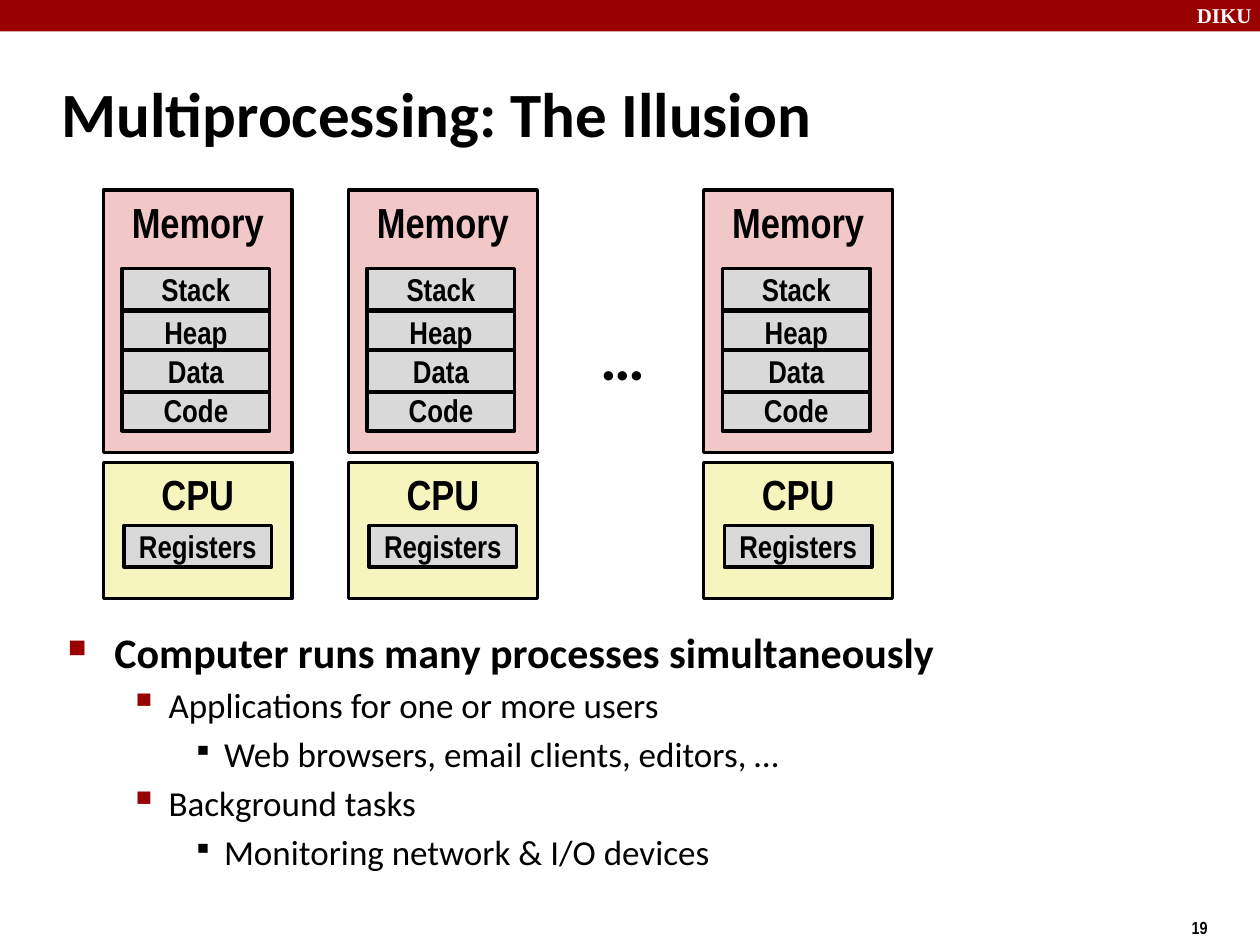
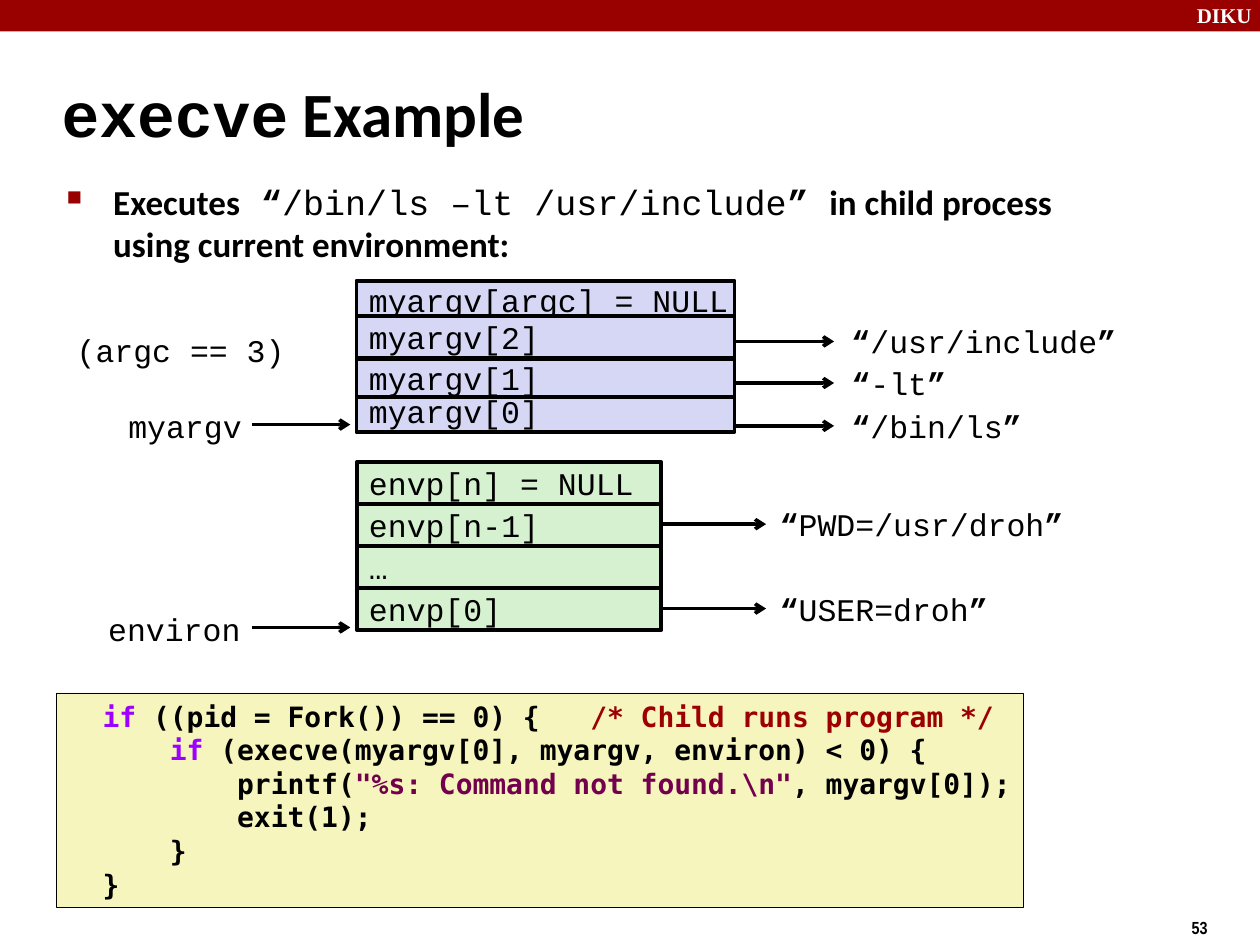
from dataclasses import dataclass

from lxml.etree import SubElement
from pptx import Presentation
from pptx.dml.color import RGBColor as Rgb
from pptx.enum.shapes import MSO_CONNECTOR as Connector, MSO_SHAPE as Shape
from pptx.enum.text import MSO_ANCHOR as Anchor, MSO_AUTO_SIZE as AutoSize, PP_ALIGN as Align
from pptx.oxml.ns import qn
from pptx.util import Inches, Pt

COLUMNS, ROWS = 100, 75
WIDTH, HEIGHT = Inches(10), Inches(7.5)


@dataclass(frozen=True)
class TextStyle:
    size: float
    font: str
    bold: bool = False
    color: str = "000000"


@dataclass(frozen=True)
class Bullet:
    sign: str
    color: str
    percent: int
    left: float
    hanging: float
    before: float
    level: int = 0


class Theme:
    black, white, red = "000000", "FFFFFF", "990000"
    pink, yellow, grey = "F1C7C7", "F6F5BD", "D9D9D9"
    green, lilac = "D5F1CF", "D6D6F5"
    sans, narrow, mono, code_font = "Calibri", "Arial Narrow", "Courier New", "DejaVu Sans Mono"

    text = {
        "brand": TextStyle(12, "Times New Roman", True, white),
        "number": TextStyle(10, narrow, True),
        "title": TextStyle(36, sans, True),
        "title mono": TextStyle(36, mono, True),
        "lead": TextStyle(24, sans, True),
        "lead small": TextStyle(20, sans, True),
        "body": TextStyle(20, sans),
        "body mono": TextStyle(20, mono),
        "body quote": TextStyle(20, mono, True),
        "unit": TextStyle(24, narrow, True),
        "part": TextStyle(18, narrow, True),
        "mono": TextStyle(18, mono),
        "quote": TextStyle(18, mono, True),
        "code": TextStyle(16, code_font, True),
        "keyword": TextStyle(16, code_font, True, "9D00FF"),
        "comment": TextStyle(16, code_font, True, "9D0003"),
        "string": TextStyle(16, code_font, True, "72004C"),
    }
    bullets = {
        "main": Bullet("■", red, 60, 0.38, 0.37, 0),
        "sub": Bullet("▪", red, 110, 0.81, 0.31, 4, 1),
        "detail": Bullet("▪", black, 80, 1.25, 0.25, 4, 2),
    }


class SlideBuilder:
    """Draws on the current slide; places are in columns and rows of the grid."""

    def __init__(self, theme):
        self.theme = theme
        self.deck = Presentation()
        self.deck.slide_width, self.deck.slide_height = WIDTH, HEIGHT
        self.page = None

    def start(self, number, title):
        self.page = self.deck.slides.add_slide(self.deck.slide_layouts[6])
        self.rect((0, 0, COLUMNS, 2.5), self.theme.red, line=None)
        self.label((94, -0.3, 6.7, 3), [("DIKU", "brand")], word_wrap=True)
        self.label((93.6, 72.3, 7.5, 2.7), [(str(number), "number")])
        self.text((3.9, 4.8, 83, 8.3), [title], vertical_anchor=Anchor.MIDDLE)

    @staticmethod
    def place(left, top, width, height):
        across, down = WIDTH / COLUMNS, HEIGHT / ROWS
        return [round(value) for value in
                (left * across, top * down, width * across, height * down)]

    def fill_text(self, shape, paragraphs, align=Align.LEFT, bullets=(), **frame_format):
        """Write paragraphs, each a list of (text, style name) pairs."""
        frame = shape.text_frame
        for name, value in {"word_wrap": True, **frame_format}.items():
            setattr(frame, name, value)
        for index, runs in enumerate(paragraphs):
            para = frame.add_paragraph() if index else frame.paragraphs[0]
            if bullets:
                self.bullet(para, self.theme.bullets[bullets[index]])
            para.alignment = align
            for content, style_name in runs:
                style = self.theme.text[style_name]
                span = para.add_run()
                span.text = content
                font_format = {"size": Pt(style.size), "name": style.font, "bold": style.bold}
                for name, value in font_format.items():
                    setattr(span.font, name, value)
                span.font.color.rgb = Rgb.from_string(style.color)

    @staticmethod
    def bullet(para, bullet):
        props = para._p.get_or_add_pPr()
        props.set("marL", str(Inches(bullet.left)))
        props.set("indent", str(-Inches(bullet.hanging)))
        color = SubElement(props, qn("a:buClr"))
        SubElement(color, qn("a:srgbClr"), val=bullet.color)
        SubElement(props, qn("a:buSzPct"), val=str(bullet.percent * 1000))
        SubElement(props, qn("a:buChar"), char=bullet.sign)
        para.level = bullet.level
        para.space_before = Pt(bullet.before)

    def text(self, at, paragraphs, **text_format):
        box = self.page.shapes.add_textbox(*self.place(*at))
        self.fill_text(box, paragraphs, **text_format)

    def label(self, at, runs, word_wrap=False):
        self.text(at, [runs], word_wrap=word_wrap, auto_size=AutoSize.SHAPE_TO_FIT_TEXT)

    def rect(self, at, fill, paragraphs=(), line=2, **text_format):
        box = self.page.shapes.add_shape(Shape.RECTANGLE, *self.place(*at))
        box.shadow.inherit = False
        box.fill.solid()
        box.fill.fore_color.rgb = Rgb.from_string(fill)
        if line is None:
            box.line.fill.background()
        else:
            box.line.color.rgb = Rgb.from_string(self.theme.black)
            box.line.width = Pt(line)
        if paragraphs:
            self.fill_text(box, paragraphs, **text_format)

    def arrow(self, start, end, row):
        left, top, right, _ = self.place(start, row, end, 0)
        link = self.page.shapes.add_connector(Connector.STRAIGHT, left, top, right, top)
        link.line.color.rgb = Rgb.from_string(self.theme.black)
        link.line.width = Pt(2)
        props = link.element.spPr
        SubElement(props.find(qn("a:ln")), qn("a:tailEnd"), type="arrow")
        SubElement(props, qn("a:effectLst"))

    def machine(self, left):
        """Draw one process: its CPU below its memory."""
        theme = self.theme

        def unit(name, top, height, fill):
            self.rect((left, top, 15, height), fill, [[(name, "unit")]],
                      align=Align.CENTER, vertical_anchor=Anchor.TOP)

        def part(name, inset, top):
            self.rect((left + inset, top, 11.7, 3.3), theme.grey, [[(name, "part")]],
                      align=Align.CENTER, vertical_anchor=Anchor.MIDDLE)

        unit("CPU", 36.7, 10.8, theme.yellow)
        part("Registers", 1.65, 41.7)
        unit("Memory", 15.1, 20.8, theme.pink)
        for name, top in {"Stack": 21.3, "Heap": 24.7, "Code": 30.9, "Data": 27.8}.items():
            part(name, 1.5, top)

    def slot(self, name, top, width, height, fill):
        self.rect((28.3, top, width, height), fill, [[(name, "mono")]], line=2.25,
                  vertical_anchor=Anchor.MIDDLE, word_wrap=False)

    def quoted(self, content, left, top, width):
        self.label((left, top, width, 4),
                   [("“", "quote"), (content, "mono"), ("”", "quote")])


def add_illusion(slides):
    slides.start(19, [("Multiprocessing: The Illusion", "title")])
    slides.text((4.3, 49.2, 86.4, 21.6), [
        [("Computer runs many processes simultaneously", "lead")],
        [("Applications for one or more users", "body")],
        [("Web browsers, email clients, editors, …", "body")],
        [("Background tasks", "body")],
        [("Monitoring network & I/O devices", "body")],
    ], bullets=["main", "sub", "detail", "sub", "detail"])
    for left in (8.2, 27.65, 55.85):
        slides.machine(left)
    slides.label((46.7, 24.7, 5.5, 7), [("…", "title")])


def add_execve(slides):
    theme = slides.theme
    slides.start(53, [("execve", "title mono"), (" Example", "title")])

    for index, name in enumerate(["envp[n] = NULL", "envp[n-1]", "…", "envp[0]"]):
        slides.slot(name, 36.7 + index * 10 / 3, 24.2, 3.3, theme.green)
    for name, top, height in [("myargv[argc] = NULL", 22.3, 3), ("myargv[2]", 25.1, 3.3),
                              ("myargv[0]", 31, 3.3), ("myargv[1]", 28.5, 3)]:
        slides.slot(name, top, 30, height, theme.lilac)

    for content, top, width, arrow_row in [("/usr/include", 25.1, 23, 27.1),
                                           ("-lt", 28.4, 9.5, 30.4),
                                           ("/bin/ls", 31.8, 15.5, 33.8)]:
        slides.quoted(content, 66.6, top, width)
        slides.arrow(58.3, 66.2, arrow_row)
    for content, top, width in [("PWD=/usr/droh", 39.6, 24.5), ("USER=droh", 46.3, 18.5)]:
        slides.quoted(content, 60.9, top, width)
        slides.arrow(52.5, 60.8, top + 2)
    for name, left, top, width in [("myargv", 9.2, 31.8, 11), ("environ", 7.6, 47.9, 12.5)]:
        slides.label((left, top, width, 4), [(name, "mono")])
        slides.arrow(20, 27.8, top + 1.9)
    slides.label((5.1, 25.8, 18.5, 4), [("(argc == 3)", "mono")])

    slides.rect((4.5, 55, 76.7, 17), theme.yellow, [
        [("  ", "code"), ("if", "keyword"), (" ((pid = Fork()) == 0) {   ", "code"),
         ("/* Child runs program */", "comment")],
        [("      ", "code"), ("if", "keyword"),
         (" (execve(myargv[0], myargv, environ) < 0) {", "code")],
        [("          printf(", "code"), ('"%s: Command not found.\\n"', "string"),
         (", myargv[0]);", "code")],
        [("          exit(1);", "code")],
        [("      }", "code")],
        [("  }", "code")],
    ], line=0.25, vertical_anchor=Anchor.TOP, word_wrap=False,
        auto_size=AutoSize.SHAPE_TO_FIT_TEXT)

    slides.text((4.2, 13.8, 82.8, 5), [[
        ("Executes", "lead small"), (" “", "body quote"),
        ("/bin/ls –lt /usr/include", "body mono"), ("” ", "body quote"),
        ("in child process using current environment:", "lead small"),
    ]], bullets=["main"])


def main():
    slides = SlideBuilder(Theme())
    add_illusion(slides)
    add_execve(slides)
    slides.deck.save("out.pptx")


if __name__ == "__main__":
    main()
